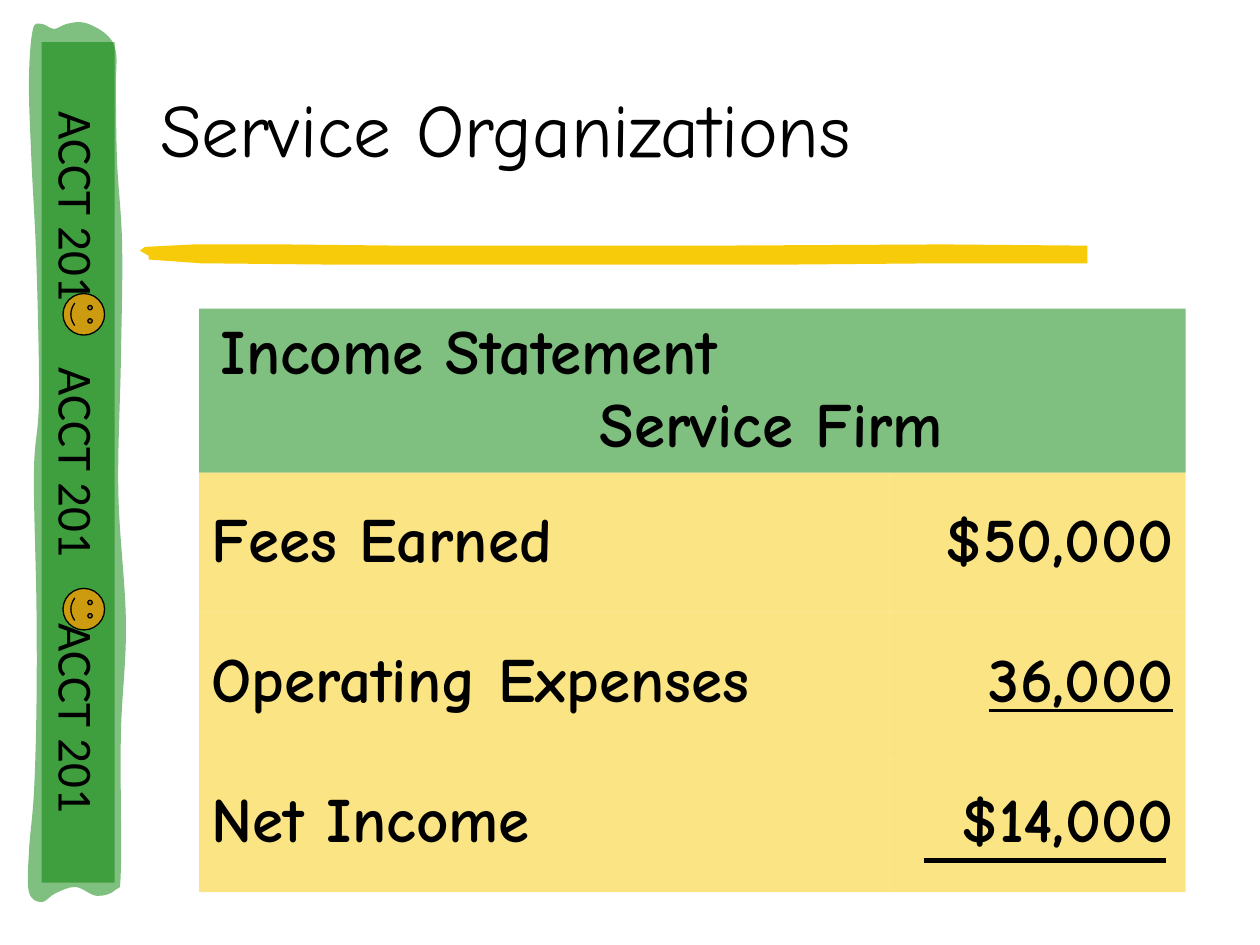
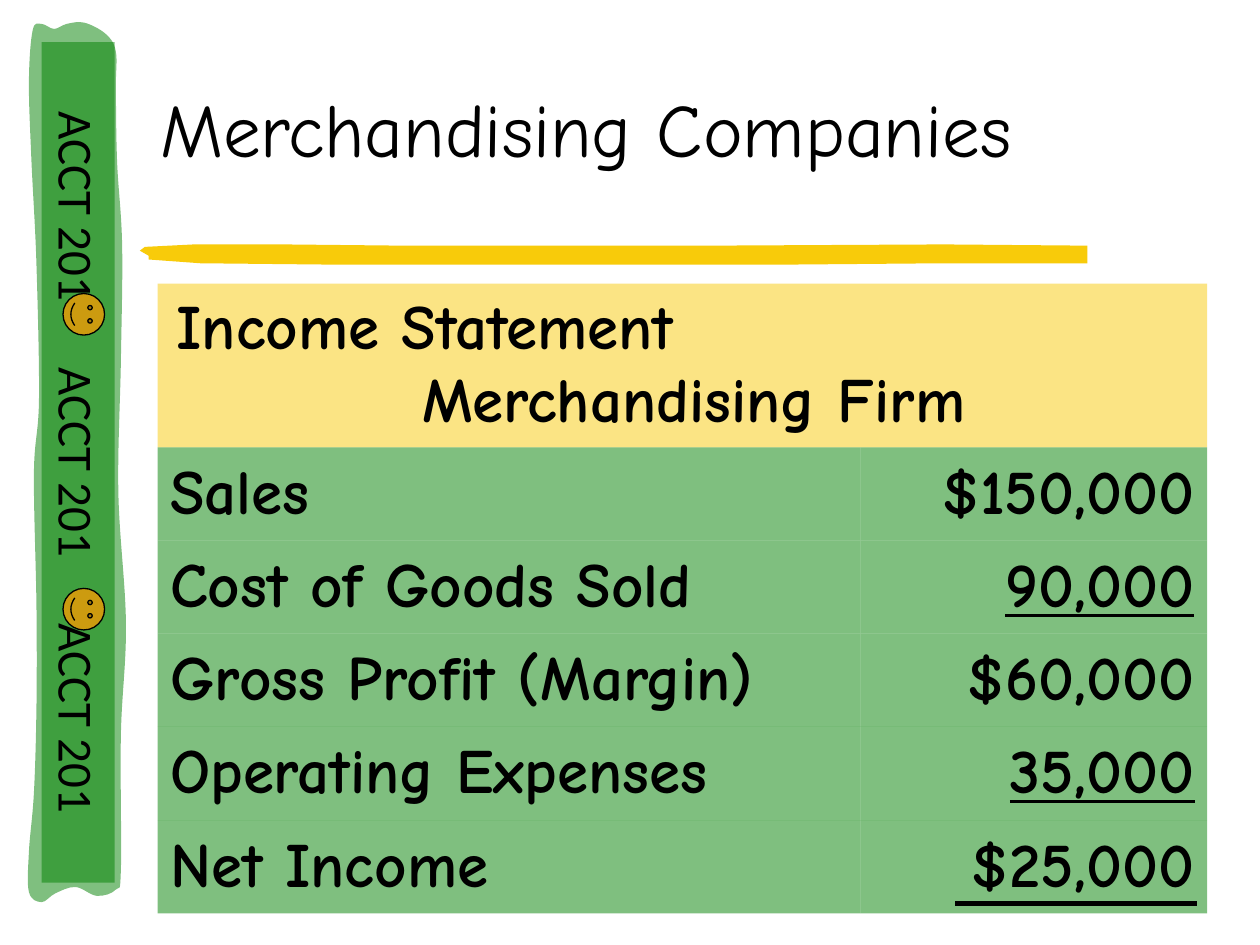
from collections import namedtuple
from dataclasses import dataclass

from lxml import etree
from pptx import Presentation
from pptx.dml.color import RGBColor
from pptx.enum.shapes import MSO_CONNECTOR, MSO_SHAPE
from pptx.enum.text import MSO_ANCHOR, PP_ALIGN
from pptx.oxml.ns import qn
from pptx.util import Inches, Pt

LEFT, CENTER, RIGHT = PP_ALIGN.LEFT, PP_ALIGN.CENTER, PP_ALIGN.RIGHT
MIDDLE = MSO_ANCHOR.MIDDLE
RECTANGLE, SMILEY = MSO_SHAPE.RECTANGLE, MSO_SHAPE.SMILEY_FACE
STRAIGHT = MSO_CONNECTOR.STRAIGHT
TITLE_ONLY = 5
PLAIN_TABLE = "{2D5ABB26-0587-4C30-8999-92F81FD0307C}"

Box = namedtuple("Box", "left top width height")


@dataclass(frozen=True)
class Theme:
    green: str = "008000"
    yellow: str = "F8CB0A"
    gold: str = "CC9B10"
    ink: str = "000000"
    main_font: str = "Comic Neue"
    side_font: str = "Calibri"
    title_size: int = 43
    table_size: int = 36
    side_size: int = 28


THEME = Theme()
TITLE_BOX = Box(1.17, 0.6, 8.8, 0.82)
STROKE_BOX = Box(1.08, 1.93, 7.54, 0.19)
SIDEBAR_BOX = Box(0.22, 0.17, 0.78, 7)
HEADER_HEIGHT = 1.3

STROKE_OUTLINE = [
    (1.51, 0.17), (0.51, 0.16), (0.1, 0.13), (0.1, 0.1), (0.03, 0.06), (0.07, 0.03),
    (0.46, 0.01), (1.17, 0.01), (2.12, 0.02), (3.38, 0.02), (4.54, 0.02), (6.41, 0.01),
    (7.55, 0.02), (7.55, 0.16), (6.41, 0.16), (5.21, 0.17), (3.62, 0.17), (2.63, 0.17),
]
SIDEBAR_OUTLINE = [
    (0.07, 5.44), (0.07, 4.64), (0.05, 3.58), (0.09, 3), (0.07, 1.93), (0.03, 1.1),
    (0.01, 0.48), (0.04, 0.07), (0.11, 0.02), (0.21, 0.06), (0.31, 0.02), (0.45, 0.01),
    (0.62, 0.1), (0.7, 0.24), (0.7, 0.54), (0.71, 1.12), (0.75, 1.78), (0.74, 2.69),
    (0.72, 3.74), (0.78, 4.78), (0.74, 5.66), (0.74, 6.73), (0.7, 6.89), (0.55, 6.94),
    (0.38, 6.87), (0.22, 6.92), (0.11, 6.99), (0.01, 6.91), (0.01, 6.59), (0.05, 6.12),
]

STATEMENTS = [
    dict(
        title="Service Organizations",
        box=Box(1.58, 2.45, 7.83, 4.63),
        amount_width=2.35,
        firm="Service Firm",
        heading_indent=0.07,
        firm_indent=3.08,
        header_color=THEME.green,
        body_color=THEME.yellow,
        entries=[
            ("Fees Earned", "$50,000", False),
            ("Operating Expenses", "36,000", True),
            ("Net Income", "$14,000", False),
        ],
        total_rule=(5.75, 7.67, 4.38),
    ),
    dict(
        title="Merchandising Companies",
        box=Box(1.25, 2.25, 8.33, 5),
        amount_width=2.75,
        firm="Merchandising Firm",
        heading_indent=0.05,
        firm_indent=2,
        header_color=THEME.yellow,
        body_color=THEME.green,
        entries=[
            ("Sales", "$150,000", False),
            ("Cost of Goods Sold", "90,000", True),
            ("Gross Profit (Margin)", "$60,000", False),
            ("Operating Expenses", "35,000", True),
            ("Net Income", "$25,000", False),
        ],
        total_rule=(6.33, 8.25, 4.92),
    ),
]


def inches(values):
    return [Inches(value) for value in values]


def paint(fill, color):
    fill.solid()
    fill.fore_color.rgb = RGBColor.from_string(color)


def make_translucent(element, percent=50):
    color = next(element.iter(qn("a:srgbClr")))
    etree.SubElement(color, qn("a:alpha")).set("val", str(percent * 1000))


def write(frame, *parts, size, font=THEME.main_font, align=LEFT, bold=False,
          underline=False, first_indent=0, indent=0, gap=None):
    paragraph = frame.paragraphs[0]
    properties = paragraph._p.get_or_add_pPr()
    properties.set("marL", str(Inches(indent)))
    properties.set("indent", str(Inches(first_indent - indent)))
    paragraph.alignment = align

    def add_run(text):
        run = paragraph.add_run()
        run.text = text
        run.font.name = font
        run.font.size = Pt(size)
        run.font.bold = bold
        run.font.underline = underline
        run.font.color.rgb = RGBColor.from_string(THEME.ink)
        return run

    add_run(parts[0])
    for part in parts[1:]:
        if gap:
            add_run(" ").font._element.set("spc", str(int(gap * 100)))
        else:
            paragraph.add_line_break()
        add_run(part)


def curve_segments(brush, points):
    left, top = (min(axis) for axis in zip(*points))
    local = [(x - left, y - top) for x, y in points]
    count = len(local)
    for i, segment in enumerate(list(brush._element.iter(qn("a:lnTo")))):
        before, start, end, after = (local[(i + k) % count] for k in (-1, 0, 1, 2))
        controls = [
            tuple(s + (e - b) / 6 for b, s, e in zip(before, start, end)),
            tuple(e - (a - s) / 6 for s, e, a in zip(start, end, after)),
        ]
        segment.tag = qn("a:cubicBezTo")
        for place, (x, y) in enumerate(controls):
            point = etree.Element(qn("a:pt"), x=str(round(x)), y=str(round(y)))
            segment.insert(place, point)


def add_brush(slide, box, outline, color, curved=False):
    points = [inches((box.left + x, box.top + y)) for x, y in outline]
    builder = slide.shapes.build_freeform(*points[0])
    builder.add_line_segments(points[1:] + points[:1], close=True)
    brush = builder.convert_to_shape()
    brush.shadow.inherit = False
    paint(brush.fill, color)
    brush.line.fill.background()
    if curved:
        curve_segments(brush, points)
    return brush


def add_preset(slide, preset, box, color, rotation=90):
    shape = slide.shapes.add_shape(preset, *inches(box))
    shape.rotation = rotation
    shape.shadow.inherit = False
    paint(shape.fill, color)
    return shape


def add_sidebar(slide, box):
    wash = add_brush(slide, box, SIDEBAR_OUTLINE, THEME.green, curved=True)
    make_translucent(wash._element.spPr)

    length, thickness = 6.67, 0.58
    center_x, center_y = box.left + 0.4, box.top + 3.5
    strip_box = Box(center_x - length / 2, center_y - thickness / 2, length, thickness)
    strip = add_preset(slide, RECTANGLE, strip_box, THEME.green)
    make_translucent(strip._element.spPr)
    strip.line.fill.background()
    strip.text_frame.word_wrap = False
    strip.text_frame.vertical_anchor = MIDDLE
    write(strip.text_frame, *["ACCT 201"] * 3, size=THEME.side_size,
          font=THEME.side_font, align=CENTER, gap=31.6)

    for offset in (2.16, 4.5):
        face_box = Box(box.left + 0.28, box.top + offset, 0.33, 0.33)
        face = add_preset(slide, SMILEY, face_box, THEME.gold)
        face.line.color.rgb = RGBColor.from_string(THEME.ink)
        face.line.width = Pt(0.75)


def add_title(slide, box, text):
    title = slide.shapes.title
    title.left, title.top, title.width, title.height = inches(box)
    title.text_frame.vertical_anchor = MIDDLE
    title.text_frame.word_wrap = True
    write(title.text_frame, text, size=THEME.title_size)


def fill_cell(cell, color, *parts, **text_format):
    cell.vertical_anchor = MIDDLE
    paint(cell.fill, color)
    make_translucent(cell._tc.tcPr)
    write(cell.text_frame, *parts, size=THEME.table_size, bold=True, **text_format)


def add_statement(slide, box, amount_width, firm, heading_indent, firm_indent,
                  header_color, body_color, entries, total_rule):
    frame = slide.shapes.add_table(len(entries) + 1, 2, *inches(box))
    table = frame.table
    next(frame._element.iter(qn("a:tableStyleId"))).text = PLAIN_TABLE
    table.first_row = table.horz_banding = False
    table.columns[0].width = Inches(box.width - amount_width)
    table.columns[1].width = Inches(amount_width)
    for row in table.rows:
        row.height = Inches((box.height - HEADER_HEIGHT) / len(entries))
    table.rows[0].height = Inches(HEADER_HEIGHT)

    header = table.cell(0, 0)
    header.merge(table.cell(0, 1))
    fill_cell(header, header_color, "Income Statement", firm,
              first_indent=heading_indent, indent=firm_indent)

    for row, (label, amount, underlined) in enumerate(entries, 1):
        fill_cell(table.cell(row, 0), body_color, label)
        fill_cell(table.cell(row, 1), body_color, amount,
                  align=RIGHT, underline=underlined)

    start, end, drop = total_rule
    y = box.top + drop
    rule = slide.shapes.add_connector(
        STRAIGHT, *inches((box.left + start, y, box.left + end, y)))
    rule.line.color.rgb = RGBColor.from_string(THEME.ink)
    rule.line.width = Pt(3)
    etree.SubElement(rule._element.spPr, qn("a:effectLst"))


def add_statement_slide(deck, title, **statement):
    slide = deck.slides.add_slide(deck.slide_layouts[TITLE_ONLY])
    add_brush(slide, STROKE_BOX, STROKE_OUTLINE, THEME.yellow)
    add_sidebar(slide, SIDEBAR_BOX)
    add_statement(slide, **statement)
    add_title(slide, TITLE_BOX, title)


def main():
    deck = Presentation()
    deck.slide_width, deck.slide_height = inches((10, 7.5))
    for statement in STATEMENTS:
        add_statement_slide(deck, **statement)
    deck.save("out.pptx")


if __name__ == "__main__":
    main()
